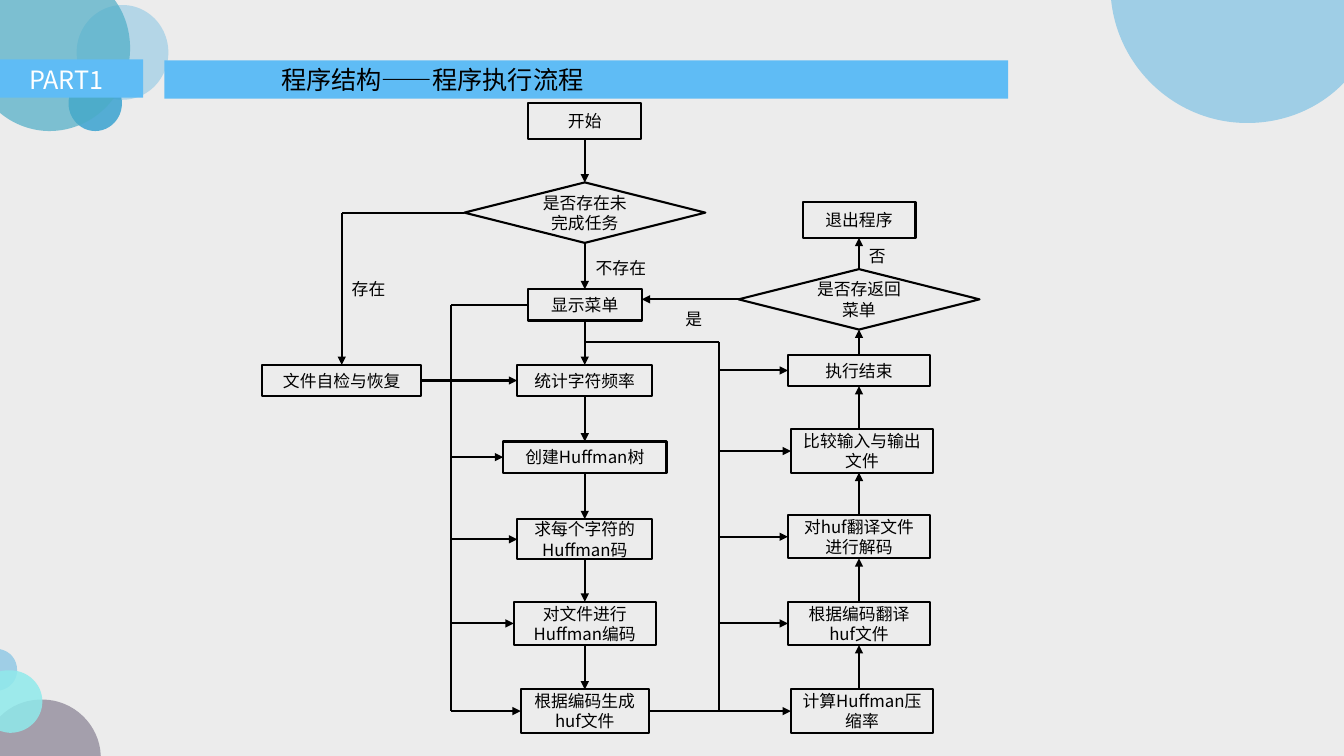
from dataclasses import dataclass
from itertools import pairwise

from lxml import etree
from pptx import Presentation
from pptx.dml.color import RGBColor
from pptx.enum.shapes import MSO_CONNECTOR, MSO_SHAPE
from pptx.enum.text import MSO_ANCHOR, PP_ALIGN
from pptx.oxml.ns import qn
from pptx.util import Inches, Pt

STRAIGHT = MSO_CONNECTOR.STRAIGHT
PROCESS, DECISION = MSO_SHAPE.FLOWCHART_PROCESS, MSO_SHAPE.FLOWCHART_DECISION
RECTANGLE, OVAL = MSO_SHAPE.RECTANGLE, MSO_SHAPE.OVAL
MIDDLE, CENTER, LEFT = MSO_ANCHOR.MIDDLE, PP_ALIGN.CENTER, PP_ALIGN.LEFT

FONT = "Noto Sans CJK SC"
BLACK = RGBColor(0x00, 0x00, 0x00)
WHITE = RGBColor(0xFF, 0xFF, 0xFF)
PAPER = RGBColor(0xEC, 0xEC, 0xEC)
BANNER = RGBColor(0x5F, 0xBC, 0xF5)
PALE_BLUE = RGBColor(0x9F, 0xCE, 0xE6)
BLUE = RGBColor(0x3A, 0xA3, 0xD0)
TEAL = RGBColor(0x4B, 0xAC, 0xC6)
PLUM = RGBColor(0x3F, 0x31, 0x51)
AQUA = RGBColor(0x90, 0xEA, 0xEB)

# left, top, width, height, colour, opacity in percent
WHOLE_BUBBLES = [
    (0.76, 0.05, 0.91, 0.94, PALE_BLUE, 72),
    (0.68, 0.75, 0.53, 0.55, BLUE, 85),
]
# colour, opacity, start, then sides: one point for a line, three for a curve
CUT_BUBBLES = [
    (TEAL, 69, (0, -0.01), [
        [(1.13, -0.01)],
        [(1.23, 0.12), (1.29, 0.29), (1.29, 0.48)],
        [(1.29, 0.93), (0.93, 1.3), (0.49, 1.3)],
        [(0.31, 1.3), (0.13, 1.23), (0, 1.12)]]),
    (PALE_BLUE, 100, (11.02, 0), [
        [(13.33, 0)],
        [(13.33, 0.82)],
        [(13.09, 1.07), (12.75, 1.22), (12.37, 1.22)],
        [(11.67, 1.22), (11.09, 0.68), (11.02, 0)]]),
    (PALE_BLUE, 100, (0, 6.44), [
        [(0.1, 6.46), (0.17, 6.54), (0.17, 6.65)],
        [(0.17, 6.75), (0.1, 6.83), (0, 6.85)]]),
    (PLUM, 41, (0.42, 6.94), [
        [(0.73, 6.94), (0.99, 7.19), (1, 7.5)],
        [(0, 7.5)],
        [(0, 7.11)],
        [(0.11, 7), (0.25, 6.94), (0.42, 6.94)]]),
    (AQUA, 85, (0.1, 6.65), [
        [(0.28, 6.65), (0.42, 6.79), (0.42, 6.96)],
        [(0.42, 7.13), (0.28, 7.27), (0.1, 7.27)],
        [(0.07, 7.27), (0.03, 7.26), (0, 7.25)],
        [(0, 6.66)],
        [(0.03, 6.65), (0.07, 6.65), (0.1, 6.65)]]),
]


@dataclass
class Step:
    """A flowchart node, in inches from the corner of the chart."""
    text: str
    centre: float
    top: float
    width: float
    height: float
    outline: int = PROCESS

    @property
    def left(self):
        return self.centre - self.width / 2

    @property
    def right(self):
        return self.centre + self.width / 2

    @property
    def middle(self):
        return self.top + self.height / 2

    @property
    def bottom(self):
        return self.top + self.height


MAIN_X, RETURN_X = 3.2, 5.92
MAIN_STEPS = [
    Step("开始", MAIN_X, 0, 1.12, 0.36),
    Step("是否存在未完成任务", MAIN_X, 0.79, 2.39, 0.6, DECISION),
    Step("显示菜单", MAIN_X, 1.85, 1.13, 0.31),
    Step("统计字符频率", MAIN_X, 2.6, 1.34, 0.31),
    Step("创建Huffman树", MAIN_X, 3.36, 1.62, 0.31),
    Step("求每个字符的Huffman码", MAIN_X, 4.13, 1.34, 0.4),
    Step("对文件进行Huffman编码", MAIN_X, 4.95, 1.41, 0.43),
    Step("根据编码生成huf文件", MAIN_X, 5.82, 1.27, 0.43),
]
RETURN_STEPS = [
    Step("计算Huffman压缩率", 5.95, 5.82, 1.41, 0.43),
    Step("根据编码翻译huf文件", RETURN_X, 4.95, 1.41, 0.43),
    Step("对huf翻译文件进行解码", RETURN_X, 4.09, 1.41, 0.43),
    Step("比较输入与输出文件", 5.95, 3.24, 1.41, 0.43),
    Step("执行结束", RETURN_X, 2.5, 1.41, 0.31),
    Step("是否存返回菜单", RETURN_X, 1.65, 2.39, 0.6, DECISION),
    Step("退出程序", RETURN_X, 0.98, 1.12, 0.36),
]
RECOVERY = Step("文件自检与恢复", 0.79, 2.6, 1.58, 0.31)
BRANCH_LABELS = [
    ("不存在", 3.21, 1.49, 0.78),
    ("存在", RECOVERY.centre, 1.7, 0.78),
    ("是", 4.1, 1.99, 0.43),
    ("否", RETURN_X, 1.37, 0.43),
]


def write(shape, text, size, color=BLACK, align=LEFT):
    shape.text_frame.word_wrap = True
    paragraph = shape.text_frame.paragraphs[0]
    paragraph.text = text
    paragraph.alignment = align
    font = paragraph.font
    font.name, font.size, font.color.rgb = FONT, Pt(size), color
    defaults = paragraph._p.pPr.find(qn("a:defRPr"))
    etree.SubElement(defaults, qn("a:ea"), typeface=FONT)


def add_label(slide, left, top, width, height, text, size, color=BLACK):
    label = slide.shapes.add_textbox(
        Inches(left), Inches(top), Inches(width), Inches(height))
    write(label, text, size, color)


def paint(shape, color, opacity=100):
    shape.shadow.inherit = False
    shape.line.fill.background()
    shape.fill.solid()
    shape.fill.fore_color.rgb = color
    if opacity < 100:
        tint = shape._element.spPr.find(".//" + qn("a:srgbClr"))
        etree.SubElement(tint, qn("a:alpha"), val=str(opacity * 1000))


def add_block(slide, outline, left, top, width, height):
    return slide.shapes.add_shape(
        outline, Inches(left), Inches(top), Inches(width), Inches(height))


def draw_cut_bubble(slide, color, opacity, start, sides):
    """Draw a circle cut off at the slide edge, with true curves."""
    builder = slide.shapes.build_freeform(Inches(start[0]), Inches(start[1]))
    builder.add_line_segments(
        [(Inches(x), Inches(y)) for side in sides for x, y in side])
    bubble = builder.convert_to_shape()
    segments = iter(bubble._element.spPr.findall(".//" + qn("a:lnTo")))
    for side in sides:
        first, *rest = [next(segments) for _ in side]
        if rest:
            curve = etree.Element(qn("a:cubicBezTo"))
            first.addprevious(curve)
            for segment in [first, *rest]:
                curve.append(segment[0])
                segment.getparent().remove(segment)
    paint(bubble, color, opacity)


def draw_bubbles(slide):
    for *box, color, opacity in WHOLE_BUBBLES:
        paint(add_block(slide, OVAL, *box), color, opacity)
    for bubble in CUT_BUBBLES:
        draw_cut_bubble(slide, *bubble)


def draw_banner(slide, left, top):
    paint(add_block(slide, RECTANGLE, left + 1.63, top + 0.01, 8.37, 0.38), BANNER)
    paint(add_block(slide, RECTANGLE, left, top, 1.42, 0.38), BANNER)
    add_label(slide, left + 2.69, top, 5.04, 0.4, "程序结构——程序执行流程", 18)
    add_label(slide, left + 0.19, top, 1.05, 0.4, "PART1", 18, WHITE)


def draw_flowchart(slide, left, top):
    def place(step):
        node = add_block(slide, step.outline, left + step.left, top + step.top,
                         step.width, step.height)
        node.shadow.inherit = False
        node.fill.background()
        node.line.color.rgb, node.line.width = BLACK, Pt(1.5)
        node.text_frame.vertical_anchor = MIDDLE
        write(node, step.text, 12, align=CENTER)

    def link(x1, y1, x2, y2, arrow=True):
        connector = slide.shapes.add_connector(
            STRAIGHT, Inches(left + x1), Inches(top + y1),
            Inches(left + x2), Inches(top + y2))
        connector.line.color.rgb, connector.line.width = BLACK, Pt(1.5)
        properties = connector._element.spPr
        if arrow:
            etree.SubElement(properties.find(qn("a:ln")), qn("a:tailEnd"), type="triangle")
        etree.SubElement(properties, qn("a:effectLst"))

    for step in [*MAIN_STEPS, *RETURN_STEPS, RECOVERY]:
        place(step)
    for upper, lower in pairwise(MAIN_STEPS):
        link(MAIN_X, upper.bottom, MAIN_X, lower.top)
    for lower, upper in pairwise(RETURN_STEPS):
        link(RETURN_X, lower.top, RETURN_X, upper.bottom)

    unfinished, menu, count = MAIN_STEPS[1:4]
    generate, ratio, go_back = MAIN_STEPS[-1], RETURN_STEPS[0], RETURN_STEPS[5]
    link(unfinished.left, unfinished.middle, RECOVERY.centre, unfinished.middle, False)
    link(RECOVERY.centre, unfinished.middle, RECOVERY.centre, RECOVERY.top)
    link(RECOVERY.right, RECOVERY.middle, count.left, count.middle)
    link(generate.right, generate.middle, ratio.left, ratio.middle)
    link(go_back.left, go_back.middle, menu.right, go_back.middle)

    buses = [(1.87, menu.left, menu.middle, MAIN_STEPS[4:]),
             (4.53, MAIN_X, 2.37, RETURN_STEPS[1:5])]
    for bus_x, source_x, source_y, targets in buses:
        link(source_x, source_y, bus_x, source_y, False)
        link(bus_x, source_y, bus_x, generate.middle, False)
        for step in targets:
            link(bus_x, step.middle, step.left, step.middle)

    for text, x, y, width in BRANCH_LABELS:
        add_label(slide, left + x, top + y, width, 0.26, text, 12)


def main():
    deck = Presentation()
    deck.slide_width, deck.slide_height = Inches(13.33), Inches(7.5)
    slide = deck.slides.add_slide(deck.slide_layouts[6])
    slide.background.fill.solid()
    slide.background.fill.fore_color.rgb = PAPER
    draw_bubbles(slide)
    draw_banner(slide, 0, 0.59)
    draw_flowchart(slide, 2.6, 1.02)
    deck.save("out.pptx")


if __name__ == "__main__":
    main()
